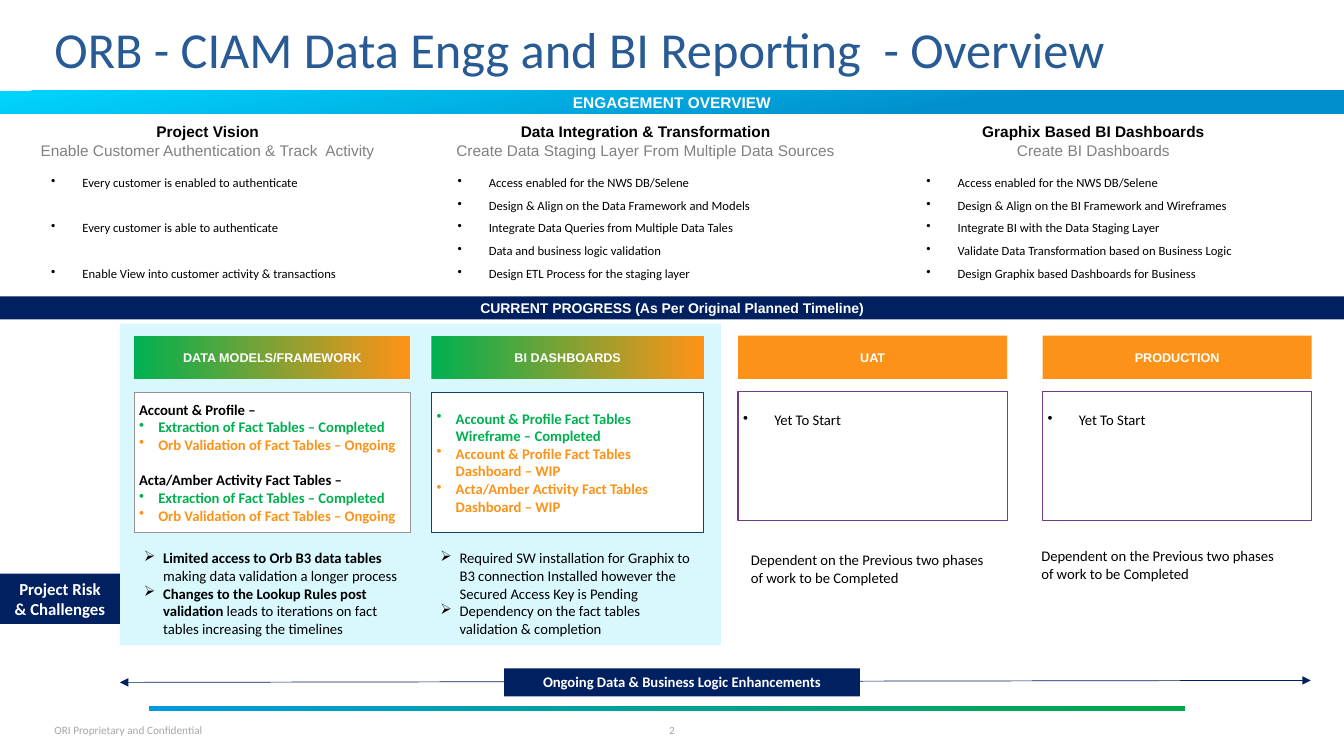
from lxml import etree
from pptx import Presentation
from pptx import util as u
from pptx.dml.color import RGBColor
from pptx.enum import shapes, text
from pptx.oxml.ns import qn

# ---- Content: a paragraph is (bullet kind, [(words, style), ...]) ----
TITLE = "ORB - CIAM Data Engg and BI Reporting  - Overview"
FOOTER, PAGE_NUMBER = "ORI Proprietary and Confidential", "2"
OVERVIEW = "ENGAGEMENT OVERVIEW"
PROGRESS = "CURRENT PROGRESS (As Per Original Planned Timeline)"
RISK_LABEL = ["Project Risk", "& Challenges"]
ENHANCEMENTS = "Ongoing Data & Business Logic Enhancements"

THEMES = [
    ("Project Vision", "Enable Customer Authentication & Track  Activity",
     ["Every customer is enabled to authenticate",
      "Every customer is able to authenticate",
      "Enable View into customer activity & transactions"]),
    ("Data Integration & Transformation",
     "Create Data Staging Layer From Multiple Data Sources",
     ["Access enabled for the NWS DB/Selene",
      "Design & Align on the Data Framework and Models",
      "Integrate Data Queries from Multiple Data Tales",
      "Data and business logic validation",
      "Design ETL Process for the staging layer"]),
    ("Graphix Based BI Dashboards", "Create BI Dashboards",
     ["Access enabled for the NWS DB/Selene",
      "Design & Align on the BI Framework and Wireframes",
      "Integrate BI with the Data Staging Layer",
      "Validate Data Transformation based on Business Logic",
      "Design Graphix based Dashboards for Business"]),
]

FACT_STATUS = [
    ("dot", [("Extraction of Fact Tables – Completed", "done")]),
    ("dot", [("Orb Validation of Fact Tables – Ongoing", "ongoing")]),
]
WAITING = [("wide dot", [("Yet To Start", "body")])]
DEPENDENT = [(None, [("Dependent on the Previous two phases of work to be Completed", "body")])]
PHASES = [
    ("DATA MODELS/FRAMEWORK",
     [(None, [("Account & Profile –", "strong")]), *FACT_STATUS,
      ("gap", [("Acta/Amber Activity Fact Tables –", "strong")]), *FACT_STATUS],
     [("arrow", [("Limited access to Orb B3 data tables ", "strong"),
                 ("making data validation a longer process", "body")]),
      ("arrow", [("Changes to the Lookup Rules post validation ", "strong"),
                 ("leads to iterations on fact tables increasing the timelines", "body")])]),
    ("BI DASHBOARDS",
     [("dot", [("Account & Profile Fact Tables Wireframe – Completed", "done")]),
      ("dot", [("Account & Profile Fact Tables Dashboard – WIP", "ongoing")]),
      ("dot", [("Acta/Amber Activity Fact Tables Dashboard – WIP", "ongoing")])],
     [("arrow", [("Required SW installation for Graphix to B3 connection Installed "
                  "however the Secured Access Key is Pending", "body")]),
      ("arrow", [("Dependency on the fact tables validation & completion", "body")])]),
    ("UAT", WAITING, DEPENDENT),
    ("PRODUCTION", WAITING, DEPENDENT),
]

# ---- Theme: colours, type styles, paragraph kinds ----
THEME = {
    "navy": "002060", "orange": "FC9318", "white": "FFFFFF", "panel": "B9F4FE",
    "band": [(0, "00D5FE"), (0.71, "0190CD")],
    "started": [(0, "00B050"), (0.99, "FC9318")],
    "rule": [(0, "009AE0"), (1, "00A846")],
    "styles": {  # font, size, colour, bold
        "title": ("Calibri", 36, "285A93", False),
        "band": ("Arial", 11, "FFFFFF", True),
        "progress": ("Arial", 10, "FFFFFF", True),
        "phase": ("Arial", 9, "FFFFFF", True),
        "heading": ("Arial", 11, "000000", True),
        "subheading": ("Arial", 11, "808080", False),
        "item": ("Calibri", 9, "000000", False),
        "body": ("Calibri", 10.5, "000000", False),
        "strong": ("Calibri", 10.5, "000000", True),
        "done": ("Calibri", 10.5, "00B050", True),
        "ongoing": ("Calibri", 10.5, "FC9318", True),
        "label": ("Calibri", 10.5, "FFFFFF", True),
        "risk": ("Calibri", 12, "FFFFFF", True),
        "footer": ("Calibri", 8, "A6A6A6", False),
    },
    "bullets": {"dot": ("•", 0.19), "wide dot": ("•", 0.31), "arrow": ("➢", 0.19)},
}

# ---- Grid, in inches ----
WIDE, HIGH = 13.33, 7.5
THEME_COLUMNS = [  # heading left and width, list left and width
    (0, 4.12, 0.41, 3.54), (4.25, 4.31, 4.44, 3.97), (8.69, 4.31, 9.09, 3.91)]
PHASE_COLUMNS = [  # left, width, fill, outline, status row, risk box
    (1.33, 2.74, "started", "949494", (3.89, 1.39), (1.33, 5.4, 2.74, 0.98)),
    (4.28, 2.7, "started", "0D4368", (3.89, 1.39), (4.27, 5.4, 2.7, 0.98)),
    (7.32, 2.67, "orange", "74398B", (3.88, 1.28), (7.35, 5.42, 2.64, 0.45)),
    (10.34, 2.67, "orange", "74398B", (3.88, 1.28), (10.23, 5.38, 2.64, 0.45))]
TIGHT, NONE, NORMAL = (0.05, 0.02, 0.05, 0.02), (0, 0, 0, 0), (0.1, 0.05, 0.1, 0.05)
MIDDLE, TOP = text.MSO_ANCHOR.MIDDLE, text.MSO_ANCHOR.TOP
CENTER = text.PP_ALIGN.CENTER

deck = Presentation()
deck.slide_width, deck.slide_height = u.Inches(WIDE), u.Inches(HIGH)
page = deck.slides.add_slide(deck.slide_layouts[5])


def rgb(value):
    return RGBColor.from_string(value)


def apply(target, values):
    for name, value in values.items():
        setattr(target, name, value)


def write(box, paragraphs, inset=NORMAL, anchor=TOP, wrap=True, **layout):
    frame = box.text_frame
    sides = ("margin_left", "margin_top", "margin_right", "margin_bottom")
    apply(frame, {"auto_size": text.MSO_AUTO_SIZE.NONE, "word_wrap": wrap,
                  "vertical_anchor": anchor, **dict(zip(sides, map(u.Inches, inset)))})
    for index, (kind, spans) in enumerate(paragraphs):
        para = frame.add_paragraph() if index else frame.paragraphs[0]
        apply(para, {"alignment": text.PP_ALIGN.LEFT, **layout})
        if kind == "gap":
            para.space_before = u.Pt(12.8)
        for words, style in spans:
            span = para.add_run()
            span.text = words
            name, size, color, bold = THEME["styles"][style]
            apply(span.font, {"name": name, "size": u.Pt(size), "bold": bold})
            span.font.color.rgb = rgb(color)
        if kind in THEME["bullets"]:
            mark, indent = THEME["bullets"][kind]
            props = para._p.get_or_add_pPr()
            props.set("marL", str(u.Inches(indent)))
            props.set("indent", str(-u.Inches(indent)))
            etree.SubElement(props, qn("a:buChar")).set("char", mark)


def add_text(place, paragraphs, **layout):
    write(page.shapes.add_textbox(*map(u.Inches, place)), paragraphs, **layout)


def add_block(place, fill, paragraphs=(), outline=None, angle=0, **layout):
    box = page.shapes.add_shape(shapes.MSO_SHAPE.RECTANGLE, *map(u.Inches, place))
    box.shadow.inherit = False
    if isinstance(THEME[fill], list):
        box.fill.gradient()
        box.fill.gradient_angle = angle
        for stop, (position, color) in zip(box.fill.gradient_stops, THEME[fill]):
            stop.position = position
            stop.color.rgb = rgb(color)
    else:
        box.fill.solid()
        box.fill.fore_color.rgb = rgb(THEME[fill])
    if outline:
        box.line.color.rgb = rgb(outline)
        box.line.width = u.Pt(0.75)
    else:
        box.line.fill.background()
    write(box, paragraphs, **layout)
    return box


def line_of(words, style):
    return [(None, [(words, style)])]


# Title, footer and bottom rule
title = page.shapes.title
apply(title, dict(zip(("left", "top", "width", "height"), map(u.Inches, (0.54, 0.18, 12.25, 0.51)))))
write(title, line_of(TITLE, "title"), inset=(0, 0.2, 0, 0), anchor=MIDDLE, line_spacing=0.8)
add_block((1.48, 7, 10.27, 0.05), "rule")
add_text((0.54, 7.13, 1.61, 0.23), line_of(FOOTER, "footer"), inset=NONE, anchor=MIDDLE)
add_text((6.48, 7.13, 0.37, 0.23), line_of(PAGE_NUMBER, "footer"),
         inset=NONE, anchor=MIDDLE, alignment=CENTER)

# Tinted panel behind the phases under way
panel = add_block((1.19, 3.21, 5.96, 3.19), "panel")
tint = panel.fill._xPr.find(qn("a:solidFill"))[0]
etree.SubElement(tint, qn("a:alpha")).set("val", "55000")

# Engagement overview
add_block((0, 0.9, WIDE, 0.23), "band", line_of(OVERVIEW, "band"),
          angle=280, anchor=MIDDLE, alignment=CENTER)
for (left, width, list_left, list_width), (heading, aim, items) in zip(THEME_COLUMNS, THEMES):
    add_block((left, 1.2, width, 0.39), "white",
              line_of(heading, "heading") + line_of(aim, "subheading"),
              inset=TIGHT, anchor=MIDDLE, alignment=CENTER)
    spread = 16.3 if len(items) == 3 else 0
    add_text((list_left, 1.61, list_width, 1.24),
             [("wide dot", [(item, "item")]) for item in items],
             line_spacing=1.5, space_after=u.Pt(spread))

# Current progress: one column per phase
add_block((0, 2.94, WIDE, 0.23), "navy", line_of(PROGRESS, "progress"),
          anchor=MIDDLE, alignment=CENTER)
for column, (name, status, risks) in zip(PHASE_COLUMNS, PHASES):
    left, width, fill, outline, (top, height), risk_place = column
    add_block((left, 3.33, width, 0.43), fill, line_of(name, "phase"),
              anchor=MIDDLE, alignment=CENTER)
    waiting = status is WAITING
    add_block((left, top, width, height), "white", status, outline=outline,
              inset=(0.05, 0.2, 0.05, 0.02) if waiting else TIGHT,
              anchor=TOP if waiting else MIDDLE)
    add_text(risk_place, risks)
add_block((0, 5.69, 1.19, 0.5), "navy",
          [para for words in RISK_LABEL for para in line_of(words, "risk")], alignment=CENTER)

# Double-headed timeline with its label
arrow = page.shapes.add_connector(
    shapes.MSO_CONNECTOR.STRAIGHT, *map(u.Inches, (1.19, 6.77, 13, 6.75)))
arrow.line.color.rgb = rgb(THEME["navy"])
arrow.line.width = u.Pt(0.5)
for end in ("a:headEnd", "a:tailEnd"):
    etree.SubElement(arrow.line._get_or_add_ln(), qn(end)).set("type", "triangle")
etree.SubElement(arrow._element.spPr, qn("a:effectLst"))
add_block((5, 6.63, 3.53, 0.28), "navy", line_of(ENHANCEMENTS, "label"),
          wrap=False, alignment=CENTER)

deck.save("out.pptx")
